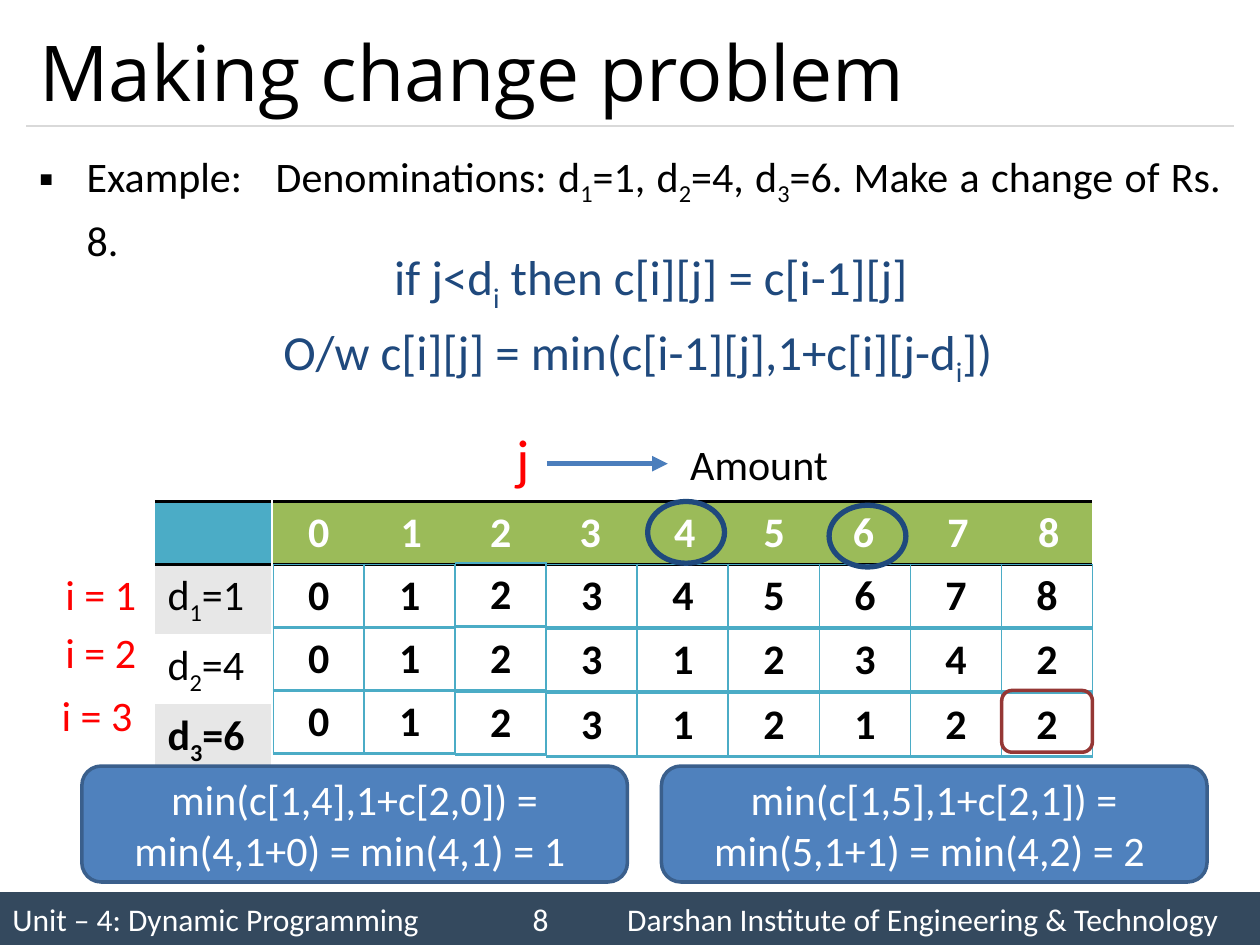
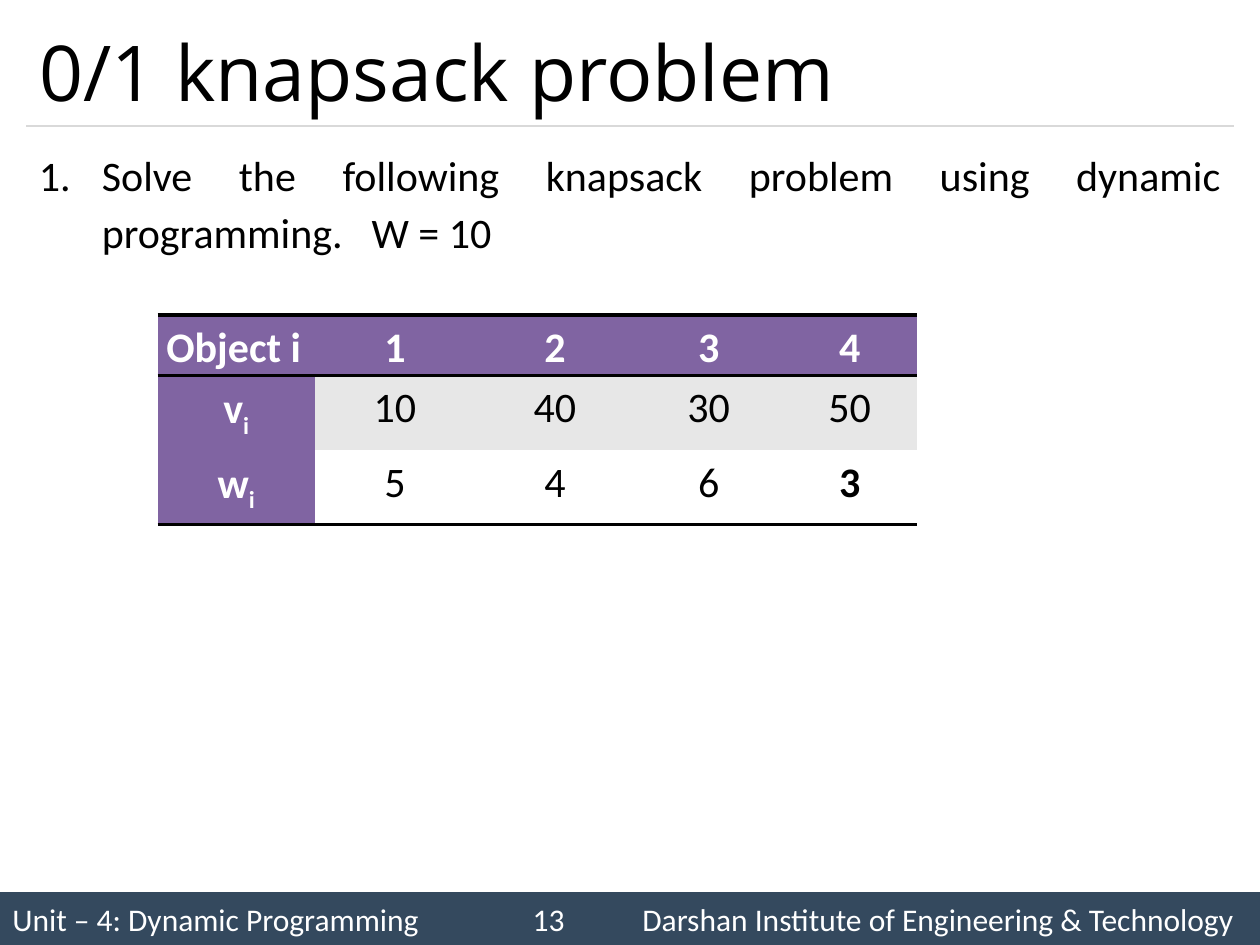
import pptx
import pptx.dml.color
import pptx.enum.shapes
import pptx.enum.text
import pptx.oxml
import pptx.oxml.ns
import pptx.util
from lxml import etree

Inches = pptx.util.Inches
Pt = pptx.util.Pt
RGBColor = pptx.dml.color.RGBColor
ALIGN = pptx.enum.text.PP_ALIGN
ANCHOR = pptx.enum.text.MSO_ANCHOR
SHAPE = pptx.enum.shapes.MSO_SHAPE
qn = pptx.oxml.ns.qn

UNIT = "Unit – 4: Dynamic Programming"
INSTITUTE = "Darshan Institute of Engineering & Technology"

CHANGE = {
    "title": "Making change problem",
    "number": "8",
    "example": "Example:\tDenominations: d_1=1, d_2=4, d_3=6. Make a change of Rs. 8.",
    "amounts": [str(amount) for amount in range(9)],
    "denominations": ["", "d_1=1", "d_2=4", "d_3=6"],
    "coins": ["012345678", "012312342", "012312122"],
    "formulas": [
        ("if j<d_i then c[i][j] = c[i-1][j]", 3.03, 1.91, 4.5),
        ("O/w c[i][j] = min(c[i-1][j],1+c[i][j-d_i])", 2.15, 2.5, 6.98),
    ],
    "row_labels": [("i = 1", 0.42, 4.46), ("i = 2", 0.42, 4.92), ("i = 3", 0.39, 5.42)],
    "workings": [
        ("min(c[1,4],1+c[2,0]) = min(4,1+0) = min(4,1) = 1 ", 0.65),
        ("min(c[1,5],1+c[2,1]) = min(5,1+1) = min(4,2) = 2 ", 5.25),
    ],
}
KNAPSACK = {
    "title": "0/1 knapsack problem",
    "number": "13",
    "task": "Solve the following knapsack problem using dynamic programming.\tW = 10",
    "objects": [
        ["Object i", "1", "2", "3", "4"],
        ["v_i", "10", "40", "30", "50"],
        ["w_i", "5", "4", "6", "3"],
    ],
}

BODY_FONT = "Calibri"
TITLE_FONT = "Open Sans"
NO_STYLE = "{2D5ABB26-0587-4C30-8999-92F81FD0307C}"
BLACK = RGBColor(0x00, 0x00, 0x00)
WHITE = RGBColor(0xFF, 0xFF, 0xFF)
RED = RGBColor(0xFF, 0x00, 0x00)
SLATE = RGBColor(0x34, 0x49, 0x5E)
RULE_GRAY = RGBColor(0xD9, 0xD9, 0xD9)
BAND_GRAY = RGBColor(0xE7, 0xE7, 0xE7)
NAVY = RGBColor(0x1F, 0x49, 0x7D)
BLUE = RGBColor(0x4F, 0x81, 0xBD)
BLUE_EDGE = RGBColor(0x3A, 0x5F, 0x8C)
ARROW_BLUE = RGBColor(0x4B, 0x7E, 0xBC)
AQUA = RGBColor(0x4B, 0xAC, 0xC6)
GREEN = RGBColor(0x9B, 0xBB, 0x59)
PURPLE = RGBColor(0x80, 0x64, 0xA2)
MAROON = RGBColor(0x95, 0x37, 0x35)


def write(paragraph, text, size=24, color=BLACK, bold=False, align=ALIGN.LEFT, font=BODY_FONT):
    paragraph.alignment = align
    first, *rest = text.split("_")
    pieces = [(first, False)]
    for part in rest:
        pieces += [(part[0], True), (part[1:], False)]
    for piece, lowered in pieces:
        if not piece:
            continue
        run = paragraph.add_run()
        run.text = piece
        run.font.name = font
        run.font.size = Pt(size)
        run.font.bold = bold
        run.font.color.rgb = color
        if lowered:
            run._r.get_or_add_rPr().set("baseline", "-25000")


def add_tabs(paragraph, positions):
    tabs = etree.SubElement(paragraph._p.get_or_add_pPr(), qn("a:tabLst"))
    for position in positions:
        etree.SubElement(tabs, qn("a:tab"), pos=str(Inches(position)), algn="l")


def add_text(slide, text, left, top, width, height, **style):
    box = slide.shapes.add_textbox(Inches(left), Inches(top), Inches(width), Inches(height))
    box.text_frame.word_wrap = True
    write(box.text_frame.paragraphs[0], text, **style)


def add_item(slide, text, hang, tab, bullet, **marks):
    box = slide.shapes.add_textbox(Inches(0.21), Inches(1.08), Inches(9.58), Inches(5.83))
    box.text_frame.word_wrap = True
    paragraph = box.text_frame.paragraphs[0]
    properties = paragraph._p.get_or_add_pPr()
    properties.set("marL", str(Inches(hang)))
    properties.set("indent", str(-Inches(hang)))
    etree.SubElement(properties, qn("a:buFont"), typeface=BODY_FONT)
    etree.SubElement(properties, qn(bullet), **marks)
    add_tabs(paragraph, (tab - hang, tab))
    paragraph.line_spacing = 1.14
    write(paragraph, text, align=ALIGN.JUSTIFY)


def add_shape(slide, preset, left, top, width, height, fill=None, edge=None, weight=2):
    shape = slide.shapes.add_shape(preset, Inches(left), Inches(top), Inches(width), Inches(height))
    shape.shadow.inherit = False
    if fill is None:
        shape.fill.background()
    else:
        shape.fill.solid()
        shape.fill.fore_color.rgb = fill
    if edge is None:
        shape.line.fill.background()
    else:
        shape.line.color.rgb = edge
        shape.line.width = Pt(weight)
    return shape


def add_line(slide, left, right, y, color, weight):
    line = slide.shapes.add_connector(
        pptx.enum.shapes.MSO_CONNECTOR.STRAIGHT, Inches(left), Inches(y), Inches(right), Inches(y))
    line.line.color.rgb = color
    line.line.width = Pt(weight)
    etree.SubElement(line._element.spPr, qn("a:effectLst"))
    return line


def add_table(slide, left, top, widths, heights):
    frame = slide.shapes.add_table(
        len(heights), len(widths), Inches(left), Inches(top), Inches(sum(widths)), Inches(sum(heights)))
    table = frame.table
    table.first_row = table.horz_banding = False
    table._tbl.tblPr.find(qn("a:tableStyleId")).text = NO_STYLE
    for column, width in zip(table.columns, widths):
        column.width = Inches(width)
    for row, height in zip(table.rows, heights):
        row.height = Inches(height)
    return table


def fill_cell(cell, text, fill=None, borders=(), **style):
    write(cell.text_frame.paragraphs[0], text, **style)
    if fill is None:
        cell.fill.background()
    else:
        cell.fill.solid()
        cell.fill.fore_color.rgb = fill
    properties = cell._tc.get_or_add_tcPr()
    for place, (side, color, weight) in enumerate(borders):
        line = etree.Element(qn("a:ln" + side), w=str(Pt(weight)))
        solid = etree.SubElement(line, qn("a:solidFill"))
        etree.SubElement(solid, qn("a:srgbClr"), val=str(color))
        properties.insert(place, line)


def start_slide(deck, content):
    slide = deck.slides.add_slide(deck.slide_layouts[5])
    number = content["number"]
    band = add_shape(slide, SHAPE.RECTANGLE, 0, 7.08, 10, 0.42, fill=SLATE)
    band.text_frame.vertical_anchor = ANCHOR.MIDDLE
    footer = band.text_frame.paragraphs[0]
    add_tabs(footer, (4.13, 4.76 + 0.12 * len(number)))
    write(footer, "\t".join((UNIT, number, INSTITUTE)), size=18, color=WHITE)
    add_line(slide, 0.21, 9.79, 1, RULE_GRAY, 0.75)
    title = slide.shapes.title
    title.left, title.top = Inches(0.21), Inches(0.12)
    title.width, title.height = Inches(9.58), Inches(0.88)
    title.text_frame.vertical_anchor = ANCHOR.MIDDLE
    write(title.text_frame.paragraphs[0], content["title"], size=44, font=TITLE_FONT)
    return slide


def build_change(deck):
    slide = start_slide(deck, CHANGE)
    add_item(slide, CHANGE["example"], 0.38, 1.88, "a:buChar", char="▪")
    top_rule, bottom_rule = ("T", BLACK, 2), ("B", BLACK, 2)

    denominations = add_table(slide, 1.23, 3.98, [0.92], [0.5, 0.55, 0.55, 0.55])
    fills = [AQUA, BAND_GRAY, WHITE, BAND_GRAY]
    rules = [(top_rule, bottom_rule), (), (), (bottom_rule,)]
    last = len(fills) - 1
    for row, text in enumerate(CHANGE["denominations"]):
        fill_cell(denominations.cell(row, 0), text, fills[row], rules[row], bold=row == last)

    amounts = add_table(slide, 2.17, 3.98, [0.72, 0.75, 0.67, 0.75, 0.75, 0.67, 0.75, 0.75, 0.69], [0.5])
    for column, amount in enumerate(CHANGE["amounts"]):
        fill_cell(amounts.cell(0, column), amount, GREEN, (top_rule, bottom_rule),
                  color=WHITE, bold=True, align=ALIGN.CENTER)

    frame = (("L", AQUA, 1), ("R", AQUA, 1), ("T", AQUA, 1), ("B", AQUA, 2))
    first_tops = [4.48, 4.48, 4.47] + [4.48] * 6
    row_pitches = [0.5] * 2 + [0.51] * 7
    for row, counts in enumerate(CHANGE["coins"]):
        for column, count in enumerate(counts):
            top = first_tops[column] + row * row_pitches[column]
            tile = add_table(slide, 2.17 + column * 5.78 / 8, top, [0.72], [0.5])
            fill_cell(tile.cell(0, 0), count, None, frame, bold=True, align=ALIGN.CENTER)

    for formula, left, top, width in CHANGE["formulas"]:
        add_text(slide, formula, left, top, width, 0.57, size=28, color=NAVY)
    add_text(slide, "j", 4, 3.31, 0.33, 0.64, size=32, color=RED)
    add_text(slide, "Amount", 5.38, 3.43, 1.44, 0.5)
    arrow = add_line(slide, 4.34, 5.3, 3.68, ARROW_BLUE, 3)
    etree.SubElement(arrow.line._get_or_add_ln(), qn("a:tailEnd"), type="triangle")
    for label, left, top in CHANGE["row_labels"]:
        add_text(slide, label, left, top, 0.78, 0.5, color=RED)

    for working, left in CHANGE["workings"]:
        panel = add_shape(slide, SHAPE.ROUNDED_RECTANGLE, left, 6.08, 4.33, 0.92, BLUE, BLUE_EDGE)
        panel.text_frame.word_wrap = True
        panel.text_frame.vertical_anchor = ANCHOR.MIDDLE
        write(panel.text_frame.paragraphs[0], working, color=WHITE, align=ALIGN.CENTER)
    for left, top in ((5.14, 3.98), (6.58, 4.01)):
        add_shape(slide, SHAPE.OVAL, left, top, 0.61, 0.49, edge=NAVY, weight=3)
    add_shape(slide, SHAPE.ROUNDED_RECTANGLE, 7.95, 5.48, 0.72, 0.49, edge=MAROON)


def build_knapsack(deck):
    slide = start_slide(deck, KNAPSACK)
    add_item(slide, KNAPSACK["task"], 0.5, 2.64, "a:buAutoNum", type="arabicPeriod")
    objects = add_table(slide, 1.25, 2.5, [1.25, 1.27, 1.27, 1.17, 1.07], [0.48, 0.59, 0.59])
    top_rule, bottom_rule = ("T", BLACK, 2), ("B", BLACK, 2)
    rules = [(top_rule, bottom_rule), (), (bottom_rule,)]
    fills = [PURPLE, BAND_GRAY, WHITE]
    for row, values in enumerate(KNAPSACK["objects"]):
        for column, value in enumerate(values):
            cell = objects.cell(row, column)
            heading = row == 0 or column == 0
            cell.margin_left = cell.margin_right = Inches(0.07)
            cell.margin_top = cell.margin_bottom = 0
            cell.text_frame.paragraphs[0].line_spacing = 1.15
            fill_cell(cell, value, PURPLE if heading else fills[row], rules[row],
                      color=WHITE if heading else BLACK,
                      bold=heading or (row, column) == (2, 4),
                      align=ALIGN.JUSTIFY if row == column == 0 else ALIGN.CENTER)


def main():
    deck = pptx.Presentation()
    deck.slide_width, deck.slide_height = Inches(10), Inches(7.5)
    build_change(deck)
    build_knapsack(deck)
    deck.save("out.pptx")


if __name__ == "__main__":
    main()
